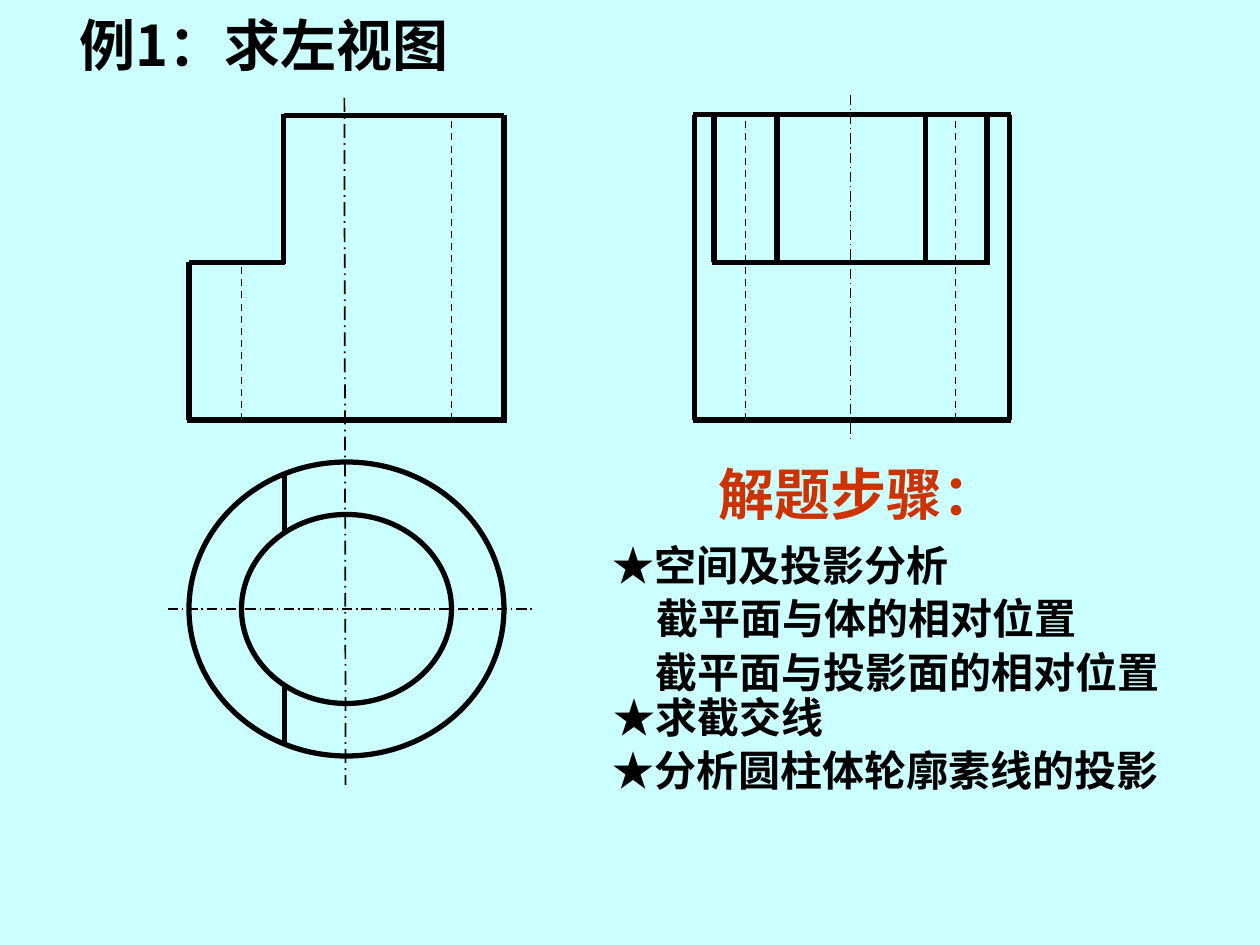
from lxml import etree
from pptx import Presentation
from pptx import util as u
from pptx.dml.color import RGBColor
from pptx.enum import dml, shapes, text
from pptx.oxml import ns

INK, PAPER, RED = "000000", "CCFFFF", "CC3300"
DASH, AXIS = dml.MSO_LINE.DASH, dml.MSO_LINE.LONG_DASH_DOT
TOP, STEP, BASE = 66, 150, 240


def color(code):
    return RGBColor.from_string(code)


def write(frame, words, size=24, ink=INK, font="Noto Sans CJK SC", align=None):
    para = frame.paragraphs[0]
    para.alignment = align
    run = para.add_run()
    run.text = words
    run.font.size = u.Pt(size)
    run.font.bold = True
    run.font.name = font
    run.font.color.rgb = color(ink)
    east = etree.SubElement(run.font._element, ns.qn("a:ea"))
    east.set("typeface", font)


class Sheet:
    def __init__(self, slide):
        self.slide = slide
        self.bold = 3
        fill = slide.background.fill
        fill.solid()
        fill.fore_color.rgb = color(PAPER)

    def line(self, x1, y1, x2, y2, width=None, dash=None):
        ends = [u.Pt(v) for v in (x1, y1, x2, y2)]
        link = self.slide.shapes.add_connector(
            shapes.MSO_CONNECTOR.STRAIGHT, *ends)
        self.stroke(link.line, width or self.bold)
        if dash:
            link.line.dash_style = dash
        etree.SubElement(link._element.spPr, ns.qn("a:effectLst"))

    def stroke(self, line, width):
        line.color.rgb = color(INK)
        line.width = u.Pt(width)

    def oval(self, x, y, wide, high, fill=None):
        box = [u.Pt(v) for v in (x - wide / 2, y - high / 2, wide, high)]
        ring = self.slide.shapes.add_shape(shapes.MSO_SHAPE.OVAL, *box)
        ring.shadow.inherit = False
        if fill:
            ring.fill.solid()
            ring.fill.fore_color.rgb = color(fill)
        else:
            ring.fill.background()
        self.stroke(ring.line, self.bold)

    def label(self, words, x, y, wide, high, wrap=False,
              anchor=text.MSO_ANCHOR.MIDDLE, align=text.PP_ALIGN.CENTER, **style):
        box = self.slide.shapes.add_textbox(*[u.Pt(v) for v in (x, y, wide, high)])
        frame = box.text_frame
        frame.word_wrap = wrap
        frame.auto_size = text.MSO_AUTO_SIZE.SHAPE_TO_FIT_TEXT
        frame.vertical_anchor = anchor
        write(frame, words, align=align, **style)


def front(sheet):
    for ends in ((107, BASE, 289.5, BASE), (288, TOP, 288, 241),
                 (162, 65, 162, 151), (163, STEP, 108, STEP),
                 (108, STEP, 108, BASE), (162, TOP, 288, TOP)):
        sheet.line(*ends)
    for x, top in ((138, STEP), (258, TOP)):
        sheet.line(x, BASE, x, top, width=1, dash=DASH)


def plan(sheet):
    x, y = 198, 348
    sheet.line(162.5, 271, 162.5, 425)
    sheet.oval(x, y, 120, 108, fill=PAPER)
    sheet.oval(x, y, 180, 168)
    sheet.line(196.8, 56, 197.5, 448.5, width=1, dash=AXIS)
    sheet.line(96, y, 306, y, width=0.75, dash=AXIS)


def side(sheet):
    sheet.line(407, STEP, 566, STEP)
    sheet.line(486, 54, 486, 250.5, width=0.75, dash=AXIS)
    for y in (65.5, BASE):
        sheet.line(396, y, 578, y)
    for x in (397, 576.7):
        sheet.line(x, 65.5, x, BASE)
    for x in (408, 444, 529, 564):
        sheet.line(x, STEP, x, TOP)
    for x in (426, 546):
        sheet.line(x, BASE, x, TOP, width=1, dash=DASH)


def main():
    deck = Presentation()
    deck.slide_width, deck.slide_height = u.Pt(720), u.Pt(540)
    sheet = Sheet(deck.slides.add_slide(deck.slide_layouts[6]))
    sheet.label("例1：求左视图", 38.2, 2.2, 240.5, 46, size=32,
                anchor=text.MSO_ANCHOR.TOP, align=text.PP_ALIGN.LEFT)
    plan(sheet)
    front(sheet)
    side(sheet)
    for words, x, y, wide, wrap in (
            ("★空间及投影分析", 337, 304.6, 218.2, True),
            ("★求截交线", 337.7, 391.7, 146.2, True),
            ("★分析圆柱体轮廓素线的投影", 337, 421.9, 338.4, True),
            ("截平面与体的相对位置", 367.9, 334.8, 254.2, False),
            ("截平面与投影面的相对位置", 367.2, 365.8, 302.4, False)):
        sheet.label(words, x, y, wide, 36, wrap=wrap)
    sheet.label("解题步骤：", 387.4, 258.5, 174.2, 46, size=32, ink=RED)
    deck.save("out.pptx")


if __name__ == "__main__":
    main()
